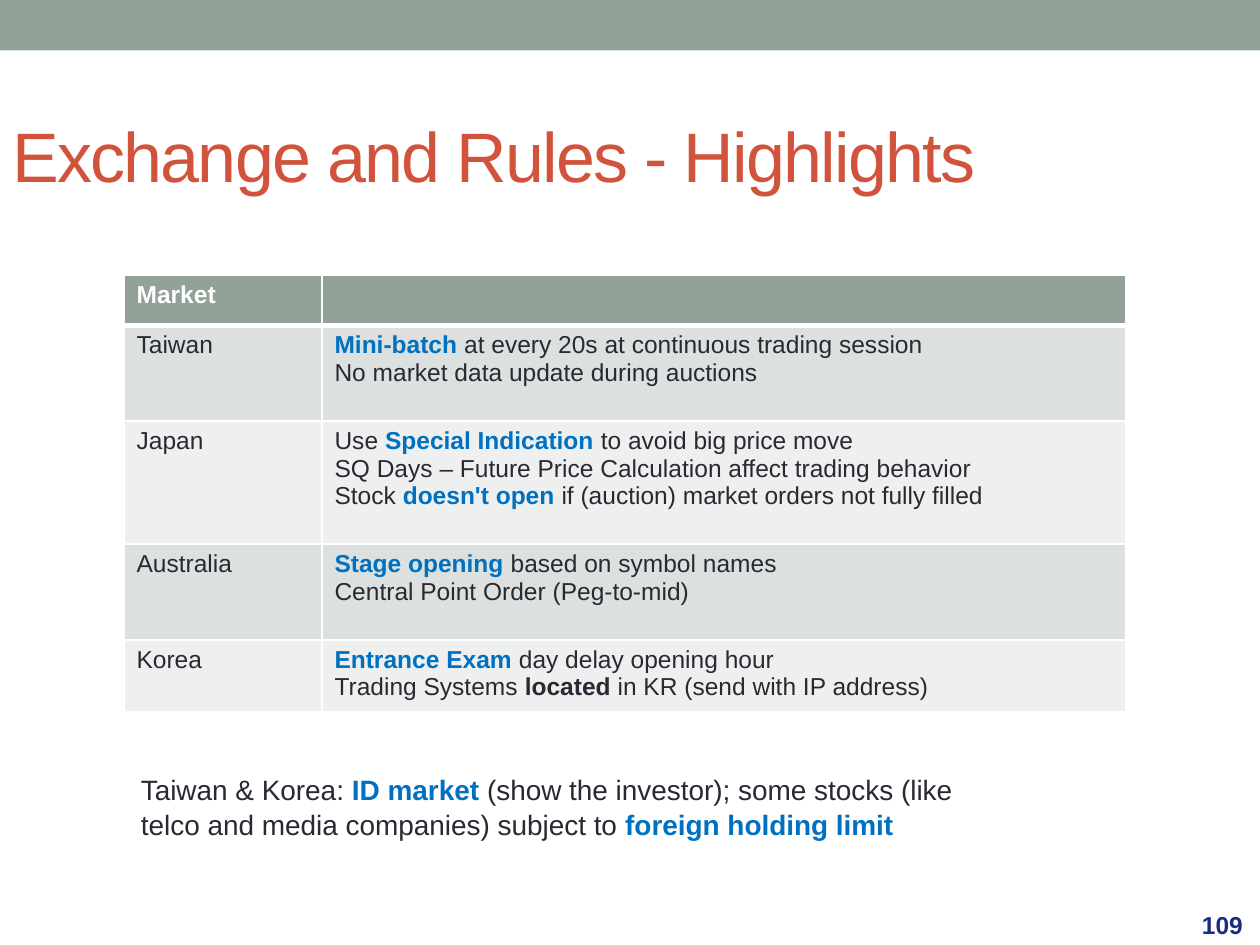
from dataclasses import dataclass

from lxml.etree import SubElement
from pptx import Presentation
from pptx.dml.color import RGBColor
from pptx.enum.shapes import MSO_SHAPE
from pptx.enum.text import MSO_ANCHOR
from pptx.oxml.ns import qn
from pptx.util import Cm, Pt

FONT = "Arial"
COLORS = {
    "sage": "93A299",
    "band_dark": "DCE0DE",
    "band_light": "EEF0EF",
    "title": "D2533C",
    "body": "292934",
    "accent": "0070C0",
    "number": "152E82",
    "white": "FFFFFF",
}


@dataclass
class Span:
    text: str
    color: str = "body"
    bold: bool = False


@dataclass
class Market:
    name: str
    height: float
    rules: list[list[Span]]


def key(text: str) -> Span:
    return Span(text, "accent", True)


def rgb(name: str) -> RGBColor:
    return RGBColor.from_string(COLORS[name])


def write(frame, lines: list[list[Span]], size: float) -> None:
    """Fill a text frame with one paragraph per line of spans."""
    for index, line in enumerate(lines):
        paragraph = frame.add_paragraph() if index else frame.paragraphs[0]
        for span in line:
            run = paragraph.add_run()
            run.text = span.text
            run.font.name = FONT
            run.font.size = Pt(size)
            run.font.bold = span.bold
            run.font.color.rgb = rgb(span.color)


def add_text(page, left: float, top: float, width: float, height: float,
             spans: list[Span], size: float, anchor=MSO_ANCHOR.MIDDLE):
    box = page.shapes.add_textbox(Cm(left), Cm(top), Cm(width), Cm(height))
    frame = box.text_frame
    frame.word_wrap = True
    frame.vertical_anchor = anchor
    write(frame, [spans], size)
    return frame.paragraphs[0]


def style_cell(cell, fill: str, top: float = 1, bottom: float = 1) -> None:
    """Draw white borders around a cell, then fill it."""
    properties = cell._tc.get_or_add_tcPr()
    for tag, points in (("lnL", 1), ("lnR", 1), ("lnT", top), ("lnB", bottom)):
        line = SubElement(properties, qn(f"a:{tag}"), w=str(Pt(points)))
        solid = SubElement(line, qn("a:solidFill"))
        SubElement(solid, qn("a:srgbClr"), val=COLORS["white"])
    cell.fill.solid()
    cell.fill.fore_color.rgb = rgb(fill)


def add_market_table(page, markets: list[Market]) -> None:
    header_height = 1
    widths = (3.99, 16.2)
    total = header_height + sum(market.height for market in markets)
    table = page.shapes.add_table(len(markets) + 1, 2, Cm(2.5), Cm(5.54),
                                  Cm(sum(widths)), Cm(total)).table
    for column, width in zip(table.columns, widths):
        column.width = Cm(width)

    # Header row
    table.rows[0].height = Cm(header_height)
    for cell in table.rows[0].cells:
        style_cell(cell, "sage", bottom=3)
    write(table.cell(0, 0).text_frame, [[Span("Market", "white", True)]], 14)

    # One banded row per market
    for row, market in enumerate(markets, start=1):
        table.rows[row].height = Cm(market.height)
        contents = ([[Span(market.name)]], market.rules)
        for cell, lines in zip(table.rows[row].cells, contents):
            style_cell(cell, "band_dark" if row % 2 else "band_light",
                       top=3 if row == 1 else 1)
            write(cell.text_frame, lines, 14)


MARKETS = [
    Market("Taiwan", 1.93, [
        [key("Mini-batch"), Span(" at every 20s at continuous trading session")],
        [Span("No market data update during auctions")],
    ]),
    Market("Japan", 2.48, [
        [Span("Use "), key("Special Indication "), Span("to avoid big price move")],
        [Span("SQ Days – Future Price Calculation affect trading behavior")],
        [Span("Stock "), key("doesn't open "),
         Span("if (auction) market orders not fully filled")],
    ]),
    Market("Australia", 1.93, [
        [key("Stage opening "), Span("based on symbol names")],
        [Span("Central Point Order (Peg-to-mid)")],
    ]),
    Market("Korea", 1.35, [
        [key("Entrance Exam "), Span("day delay opening hour")],
        [Span("Trading Systems "), Span("located", bold=True),
         Span(" in KR (send with IP address)")],
    ]),
]


def main() -> None:
    deck = Presentation()
    deck.slide_width, deck.slide_height = Cm(25.4), Cm(19.05)
    page = deck.slides.add_slide(deck.slide_layouts[6])

    # Top band
    band = page.shapes.add_shape(MSO_SHAPE.RECTANGLE, 0, 0, deck.slide_width, Cm(1.02))
    band.shadow.inherit = False
    band.fill.solid()
    band.fill.fore_color.rgb = rgb("sage")
    band.line.fill.background()

    # Page number
    add_text(page, 23.98, 18.14, 1.4, 0.99, [Span("109", "number", True)], 14)

    # Title, with tightened letter spacing
    title = add_text(page, 0, 1.73, 22.43, 2.77,
                     [Span("Exchange and Rules - Highlights", "title")], 40)
    title.runs[0].font._element.set("spc", "-100")

    add_market_table(page, MARKETS)

    # Note below the table
    note = add_text(page, 2.59, 15.42, 17.4, 2.31, [
        Span("Taiwan & Korea: "), key("ID market "),
        Span("(show the investor); some stocks (like telco and media companies) subject to "),
        key("foreign holding limit"),
    ], 16, MSO_ANCHOR.TOP)
    note.line_spacing = 1.05

    deck.save("out.pptx")


if __name__ == "__main__":
    main()
